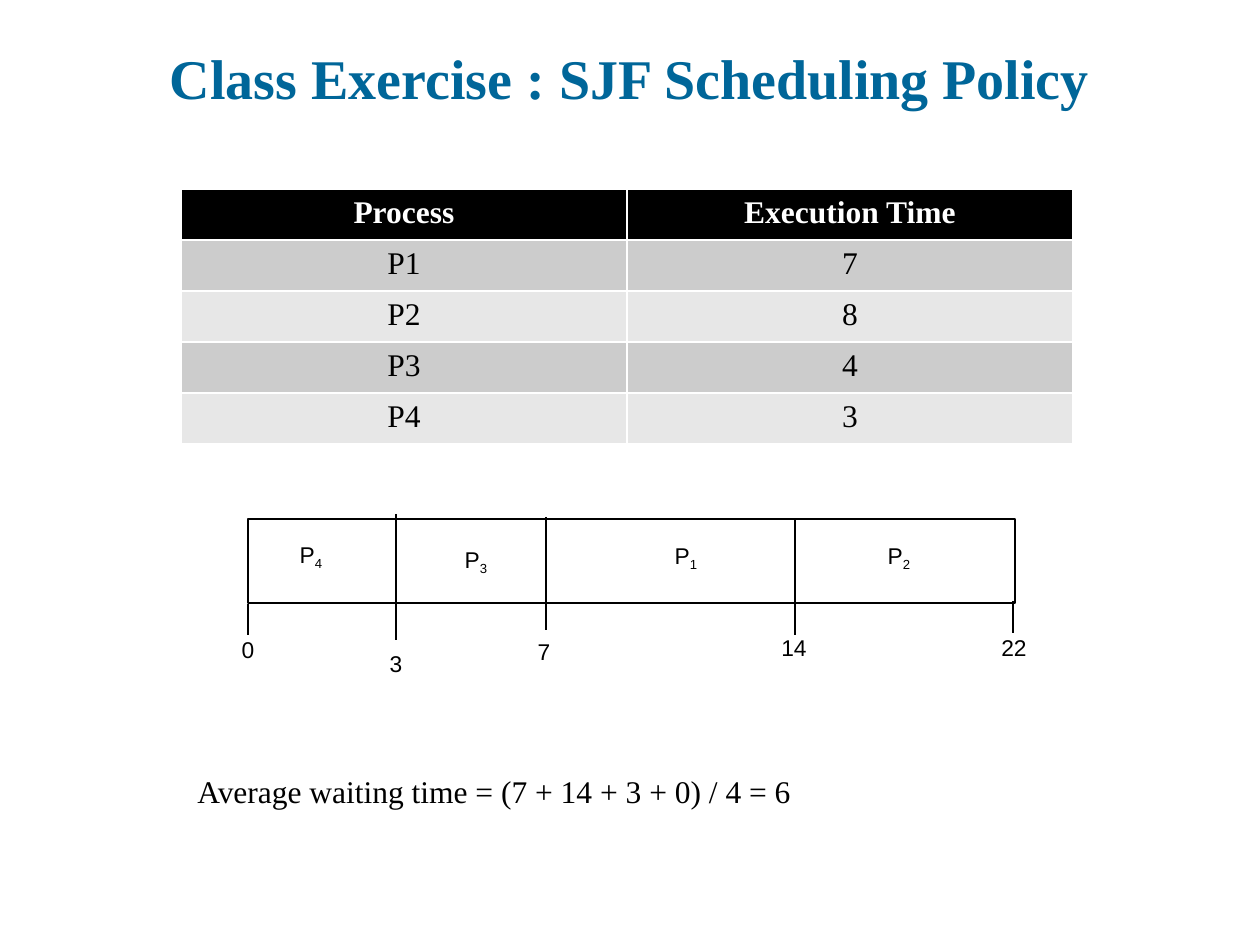
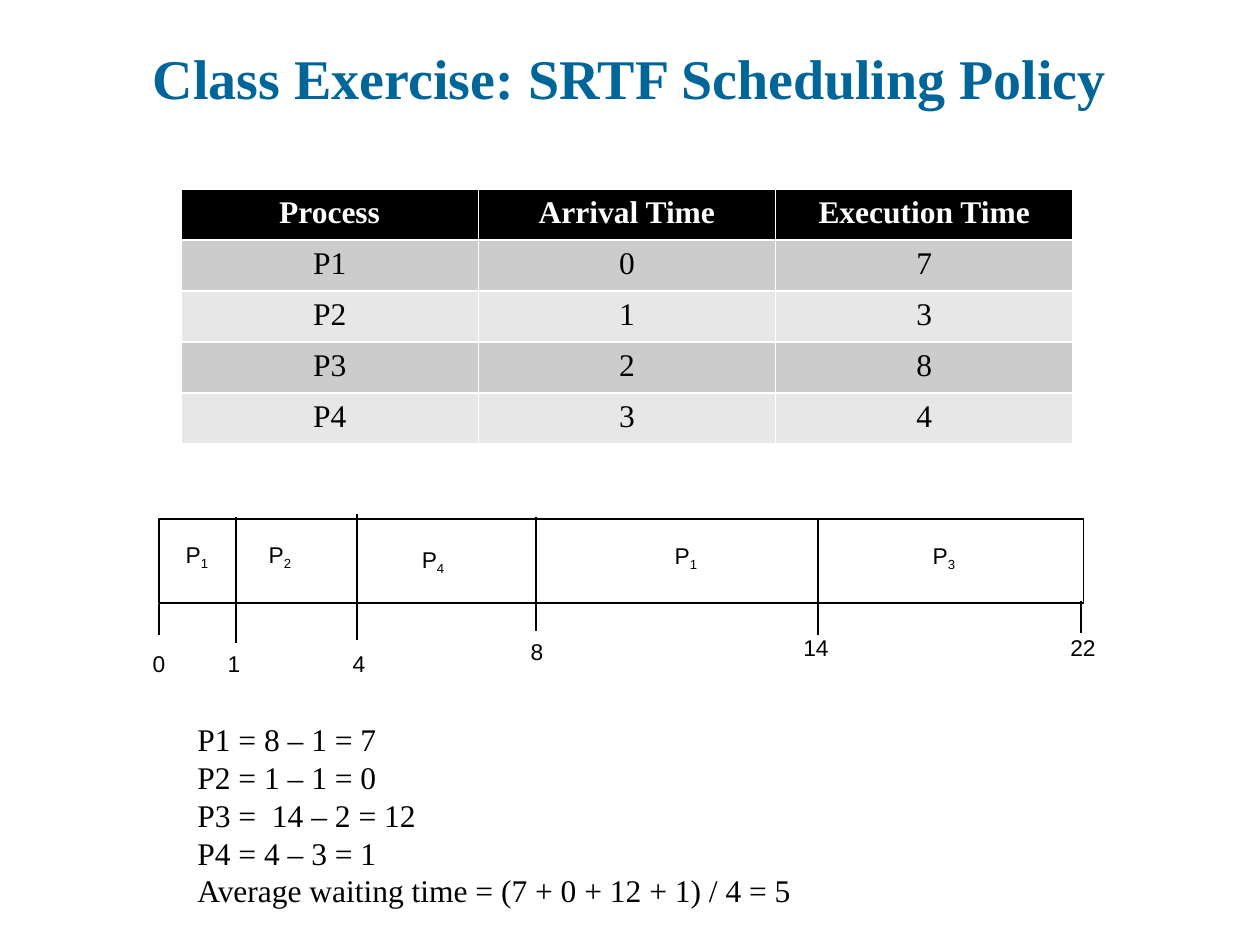
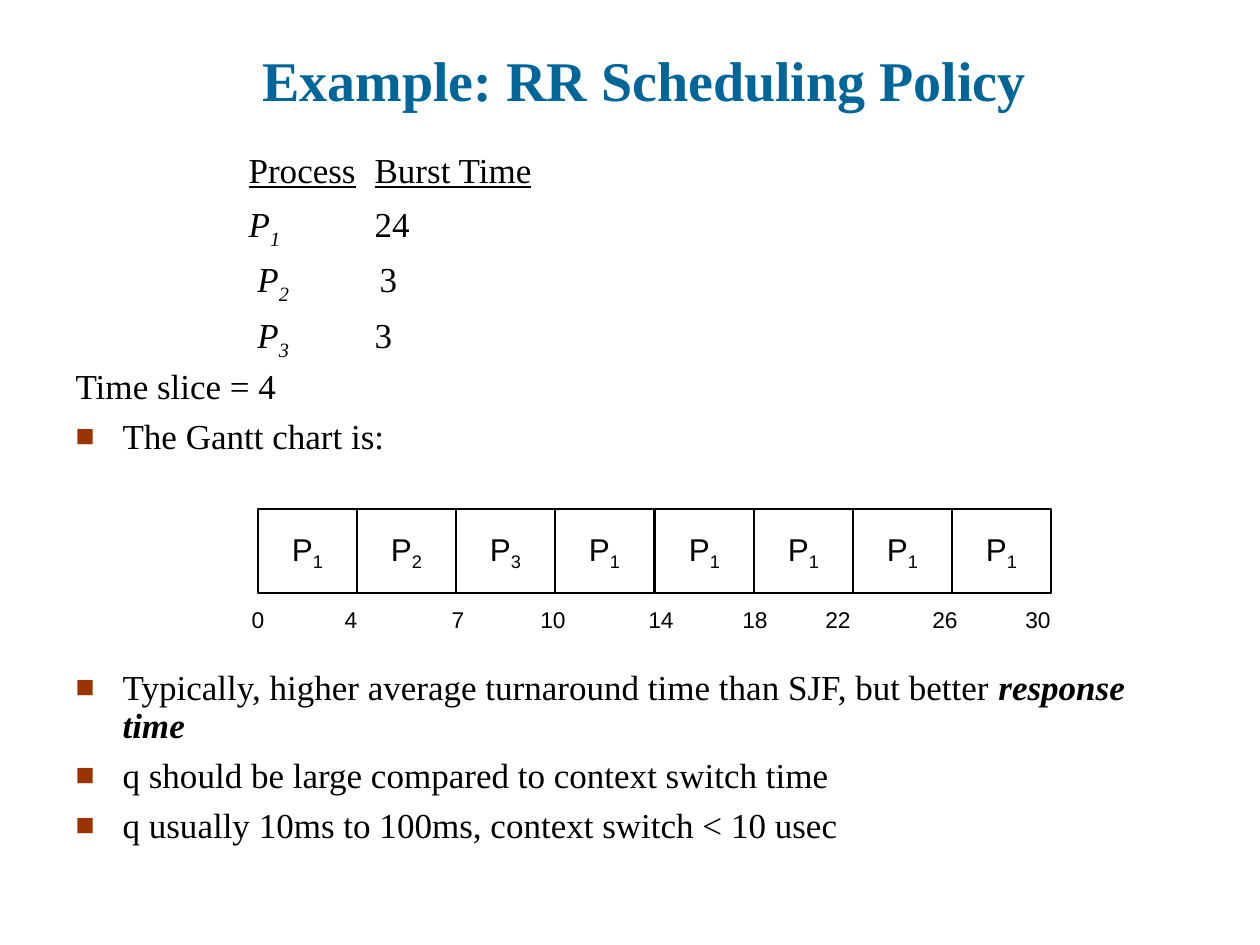
"""Build three slides on CPU scheduling: SJF, SRTF and round robin."""
from lxml.etree import SubElement
from pptx import Presentation
from pptx.dml.color import RGBColor
from pptx.enum.shapes import MSO_CONNECTOR, MSO_SHAPE
from pptx.enum.text import MSO_ANCHOR, MSO_AUTO_SIZE, PP_ALIGN
from pptx.oxml.ns import qn
from pptx.util import Pt

PX = 914400 // 126
SERIF, SANS = "Times New Roman", "Arial"
BLACK, WHITE, TITLE, BULLET = "000000", "FFFFFF", "006699", "993300"
BANDS = ["CCCCCC", "E7E7E7"]
rgb = RGBColor.from_string


def write(p, text, size=18, font=SERIF, color=BLACK, bold=False,
          italic=False, underline=False, sub=False):
    r = p.add_run()
    r.text = text
    f = r.font
    f.size, f.name, f.bold, f.italic, f.underline = Pt(size), font, bold, italic, underline
    f.color.rgb = rgb(color)
    if sub:
        r._r.get_or_add_rPr().set("baseline", "-25000")


def label(sp, text, size=13):
    tf = sp.text_frame
    tf.word_wrap = False
    tf.vertical_anchor = MSO_ANCHOR.MIDDLE
    p = tf.paragraphs[0]
    p.alignment = PP_ALIGN.CENTER
    write(p, text[0] if text[0] == "P" else text, size, SANS)
    if text[0] == "P":
        write(p, text[1:], size, SANS, sub=True)


prs = Presentation()
prs.slide_width, prs.slide_height = 1260 * PX, 945 * PX

slides = []
for layout, text, (x, y, w, h) in [
    (5, "Class Exercise : SJF Scheduling Policy", (63, 38, 1134, 79)),
    (5, "Class Exercise: SRTF Scheduling Policy", (63, 38, 1134, 79)),
    (1, "Example: RR Scheduling Policy", (53, 3, 1183, 116)),
]:
    s = prs.slides.add_slide(prs.slide_layouts[layout])
    sp = s.shapes.title
    sp.left, sp.top, sp.width, sp.height = x * PX, y * PX, w * PX, h * PX
    tf = sp.text_frame
    tf.vertical_anchor = MSO_ANCHOR.BOTTOM
    tf.auto_size = MSO_AUTO_SIZE.NONE
    p = tf.paragraphs[0]
    p.alignment = PP_ALIGN.CENTER
    write(p, text, 32, color=TITLE, bold=True)
    slides.append(s)

exercises = [
    dict(
        rows=[("Process", "Execution Time"),
              ("P1", "7"), ("P2", "8"), ("P3", "4"), ("P4", "3")],
        bar=(248, 767),
        jobs=[("P4", 311, 536), ("P3", 476, 541), ("P1", 686, 537), ("P2", 899, 537)],
        ticks=[(248, 604, 635), (396, 514, 640), (546, 517, 630),
               (795, 519, 635), (1013, 601, 633)],
        times=[("0", 248, 629), ("3", 396, 643), ("7", 544, 631),
               ("14", 794, 627), ("22", 1014, 627)],
        notes_box=(766, 50),
        notes=["Average waiting time = (7 + 14 + 3 + 0) / 4 = 6"],
    ),
    dict(
        rows=[("Process", "Arrival Time", "Execution Time"),
              ("P1", "0", "7"), ("P2", "1", "3"), ("P3", "2", "8"), ("P4", "3", "4")],
        bar=(159, 925),
        jobs=[("P1", 197, 536), ("P2", 280, 536), ("P4", 433, 541),
              ("P1", 686, 537), ("P3", 944, 537)],
        ticks=[(159, 604, 635), (236, 517, 643), (357, 514, 640),
               (536, 517, 631), (818, 519, 635), (1081, 601, 633)],
        times=[("0", 159, 643), ("1", 234, 643), ("4", 359, 643),
               ("8", 537, 631), ("14", 816, 627), ("22", 1083, 627)],
        notes_box=(714, 204),
        notes=["P1 = 8 – 1 = 7", "P2 = 1 – 1 = 0", "P3 =  14 – 2 = 12",
               "P4 = 4 – 3 = 1", "Average waiting time = (7 + 0 + 12 + 1) / 4 = 5"],
    ),
]

for s, ex in zip(slides, exercises):
    rows = ex["rows"]
    table = s.shapes.add_table(len(rows), len(rows[0]), 181 * PX, 189 * PX,
                               892 * PX, 51 * len(rows) * PX).table
    for i, row in enumerate(rows):
        for j, text in enumerate(row):
            cell = table.cell(i, j)
            cell.fill.solid()
            cell.fill.fore_color.rgb = rgb(BANDS[(i - 1) % 2] if i else BLACK)
            p = cell.text_frame.paragraphs[0]
            p.alignment = PP_ALIGN.CENTER
            write(p, text, color=BLACK if i else WHITE, bold=i == 0)

    x, w = ex["bar"]
    sp = s.shapes.add_shape(MSO_SHAPE.RECTANGLE, x * PX, 519 * PX, w * PX, 84 * PX)
    sp.shadow.inherit = False
    sp.fill.solid()
    sp.fill.fore_color.rgb = rgb(WHITE)
    sp.line.color.rgb = rgb(BLACK)
    sp.line.width = Pt(0.75)

    for x, top, bottom in ex["ticks"]:
        line = s.shapes.add_connector(MSO_CONNECTOR.STRAIGHT,
                                      x * PX, top * PX, x * PX, bottom * PX)
        line.line.color.rgb = rgb(BLACK)
        line.line.width = Pt(0.75)
        SubElement(line._element.spPr, qn("a:effectLst"))

    for text, x, y in ex["jobs"] + ex["times"]:
        w = 50 if len(text) == 2 else 38
        label(s.shapes.add_textbox((x - w // 2) * PX, y * PX, w * PX, 40 * PX), text)

    y, h = ex["notes_box"]
    tf = s.shapes.add_textbox(185 * PX, y * PX, 803 * PX, h * PX).text_frame
    tf.word_wrap = True
    for i, text in enumerate(ex["notes"]):
        write(tf.add_paragraph() if i else tf.paragraphs[0], text)

s = slides[2]
sp = s.placeholders[1]
sp.left, sp.top, sp.width, sp.height = 63 * PX, 147 * PX, 1134 * PX, 746 * PX
tf = sp.text_frame
tf.auto_size = MSO_AUTO_SIZE.NONE
it, sub, under = dict(italic=True), dict(italic=True, sub=True), dict(underline=True)
body = [
    ("row", 0, [("Process", under), ("\t", {}), ("Burst Time", under)]),
    ("row", 7, [("P", it), ("1\t", sub), ("24", {})]),
    ("row", 7, [(" ", {}), ("P", it), ("2\t ", sub), ("3", {})]),
    ("row", 7, [(" ", {}), ("P", it), ("3\t", sub), ("3", {})]),
    ("plain", 7, [("Time slice = 4", {})]),
    ("bullet", 7, [("The Gantt chart is:", {})]),
    ("bullet", 122, [("Typically, higher average turnaround time than SJF, but better ", {}),
                     ("response time", dict(bold=True, italic=True))]),
    ("bullet", 7, [("q should be large compared to context switch time", {})]),
    ("bullet", 7, [("q usually 10ms to 100ms, context switch < 10 usec", {})]),
]
indents = {"row": (173, 0), "plain": (0, 0), "bullet": (47, -47)}
for i, (kind, before, runs) in enumerate(body):
    p = tf.add_paragraph() if i else tf.paragraphs[0]
    p.line_spacing = 0.9
    p.space_before = Pt(before)
    pPr = p._p.get_or_add_pPr()
    margin, indent = indents[kind]
    pPr.set("marL", str(margin * PX))
    pPr.set("indent", str(indent * PX))
    pPr.set("defTabSz", str(126 * PX))
    if kind == "bullet":
        SubElement(SubElement(pPr, qn("a:buClr")), qn("a:srgbClr"), val=BULLET)
        SubElement(pPr, qn("a:buSzPct"), val="90000")
        SubElement(pPr, qn("a:buFont"), typeface=SERIF)
        SubElement(pPr, qn("a:buChar"), char="■")
    else:
        SubElement(pPr, qn("a:buNone"))
    for text, fmt in runs:
        write(p, text, 20, **fmt)

for i, job in enumerate(["P1", "P2", "P3"] + ["P1"] * 5):
    sp = s.shapes.add_shape(MSO_SHAPE.RECTANGLE, (258 + i * 794 // 8) * PX, 509 * PX,
                            99 * PX, 84 * PX)
    sp.shadow.inherit = False
    sp.fill.solid()
    sp.fill.fore_color.rgb = rgb(WHITE)
    sp.line.color.rgb = rgb(BLACK)
    sp.line.width = Pt(0.75)
    label(sp, job, 18)

for text, x in [("0", 258), ("4", 351), ("7", 458), ("10", 553), ("14", 661),
                ("18", 755), ("22", 838), ("26", 945), ("30", 1038)]:
    w = 66 if len(text) == 2 else 50
    label(s.shapes.add_textbox((x - w // 2) * PX, 599 * PX, w * PX, 40 * PX), text)

prs.save("out.pptx")
